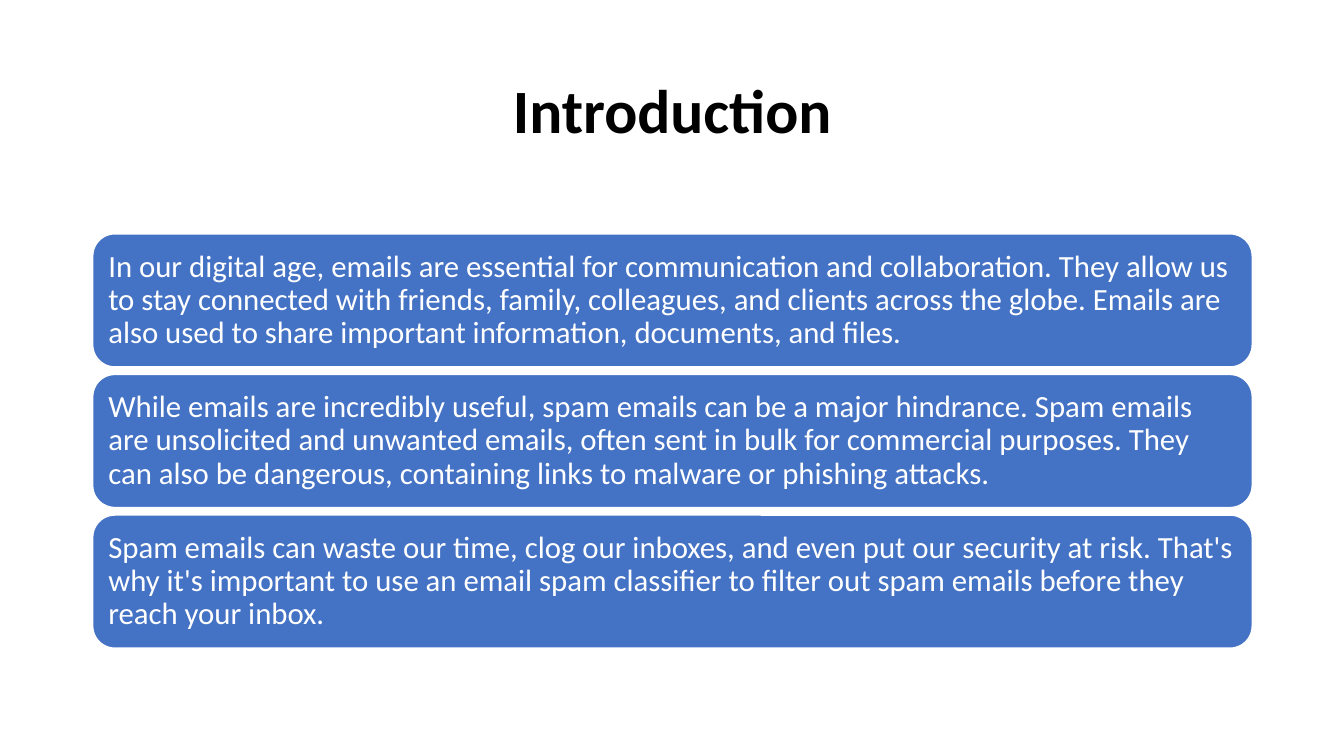
from dataclasses import dataclass

from pptx import Presentation
from pptx.dml.color import RGBColor
from pptx.enum.shapes import MSO_SHAPE
from pptx.enum.text import MSO_ANCHOR, PP_ALIGN
from pptx.util import Inches, Pt


@dataclass(frozen=True)
class Theme:
    face: str = "Calibri"
    ink: RGBColor = RGBColor(0, 0, 0)
    paper: RGBColor = RGBColor(255, 255, 255)
    blue: RGBColor = RGBColor(0x44, 0x72, 0xC4)
    head: Pt = Pt(44)
    body: Pt = Pt(22)
    edge: Pt = Pt(1)


THEME = Theme()
LEFT, WIDTH = Inches(0.92), Inches(11.5)
TOP, HEIGHT, STEP = Inches(2.32), Inches(1.32), Inches(1.395)
INSET = Inches(0.09)

POINTS = [
    "In our digital age, emails are essential for communication and "
    "collaboration. They allow us to stay connected with friends, family, "
    "colleagues, and clients across the globe. Emails are also used to share "
    "important information, documents, and files.",
    "While emails are incredibly useful, spam emails can be a major hindrance. "
    "Spam emails are unsolicited and unwanted emails, often sent in bulk for "
    "commercial purposes. They can also be dangerous, containing links to "
    "malware or phishing attacks.",
    "Spam emails can waste our time, clog our inboxes, and even put our "
    "security at risk. That's why it's important to use an email spam "
    "classifier to filter out spam emails before they reach your inbox.",
]


def assign(target, values):
    for name, value in values.items():
        setattr(target, name, value)


def write(shape, text, align, size, color, bold=False):
    """Fill the shape with one formatted paragraph, centred in height."""
    frame = shape.text_frame
    frame.text = text
    assign(frame, {"word_wrap": True, "vertical_anchor": MSO_ANCHOR.MIDDLE})
    para = frame.paragraphs[0]
    assign(para, {"alignment": align, "line_spacing": 0.9})
    font = para.runs[0].font
    assign(font, {"name": THEME.face, "size": size, "bold": bold})
    font.color.rgb = color


def add_title(slide, text):
    title = slide.shapes.title
    assign(title, {"left": LEFT, "top": Inches(0.4),
                   "width": WIDTH, "height": Inches(1.45)})
    write(title, text, PP_ALIGN.CENTER, THEME.head, THEME.ink, True)


def add_card(slide, top, text):
    card = slide.shapes.add_shape(
        MSO_SHAPE.ROUNDED_RECTANGLE, LEFT, top, WIDTH, HEIGHT)
    card.shadow.inherit = False
    card.fill.solid()
    card.fill.fore_color.rgb = THEME.blue
    card.line.color.rgb = THEME.paper
    card.line.width = THEME.edge
    sides = ("left", "top", "right", "bottom")
    assign(card.text_frame, {f"margin_{side}": INSET for side in sides})
    write(card, text, PP_ALIGN.LEFT, THEME.body, THEME.paper)


def main():
    deck = Presentation()
    assign(deck, {"slide_width": Inches(13.33), "slide_height": Inches(7.5)})
    slide = deck.slides.add_slide(deck.slide_layouts.get_by_name("Title Only"))
    add_title(slide, "Introduction")
    for row, text in enumerate(POINTS):
        add_card(slide, TOP + row * STEP, text)
    deck.save("out.pptx")


if __name__ == "__main__":
    main()
